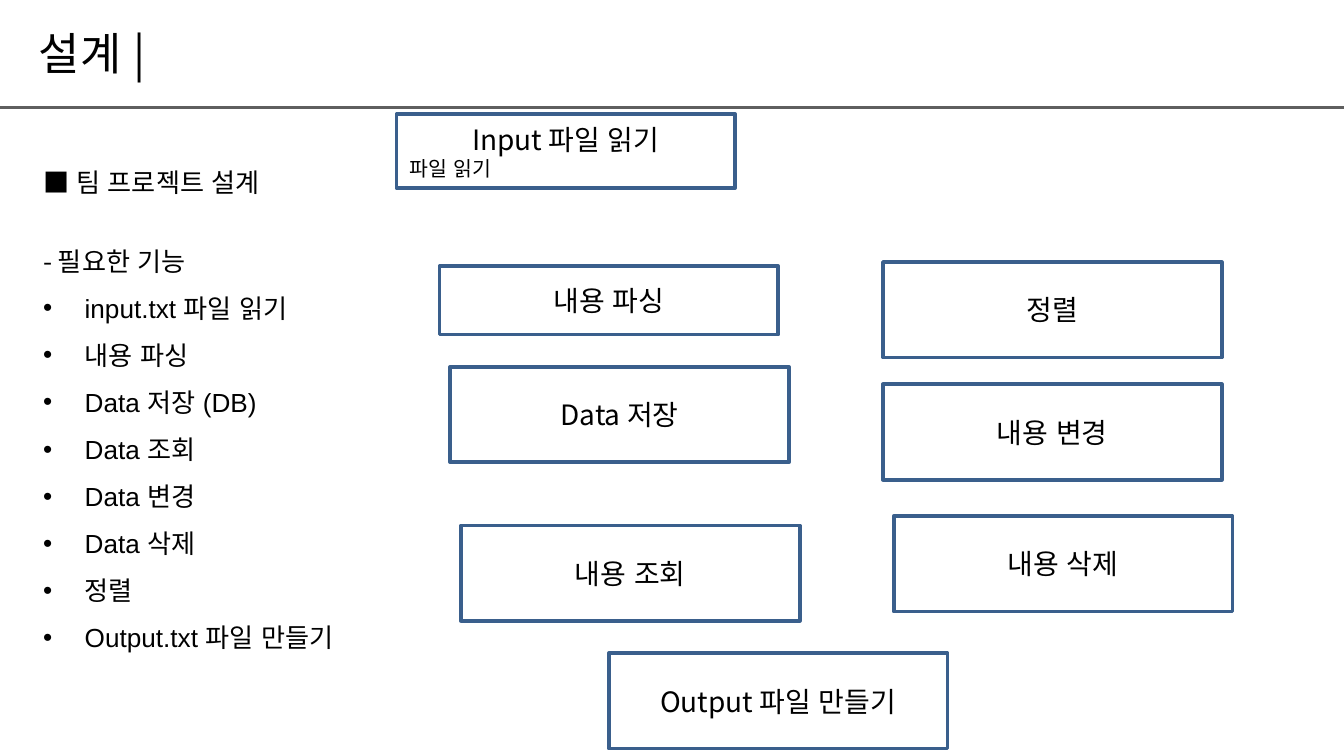
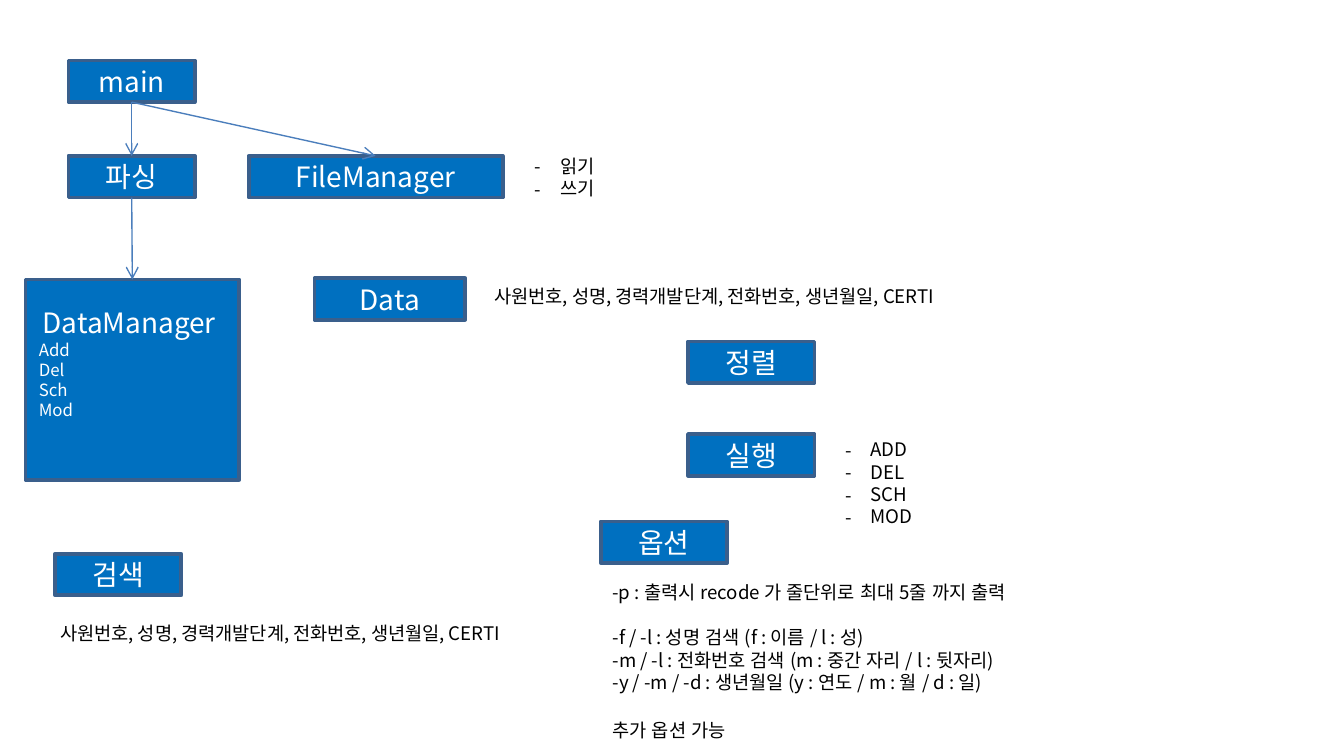
import pptx
import pptx.util
import pptx.dml.color
import pptx.enum.dml
import pptx.enum.lang
import pptx.enum.shapes
import pptx.enum.text
import pptx.oxml
import pptx.oxml.ns
from dataclasses import dataclass

Inches = pptx.util.Inches
Pt = pptx.util.Pt
Align = pptx.enum.text.PP_ALIGN
Anchor = pptx.enum.text.MSO_ANCHOR
AutoSize = pptx.enum.text.MSO_AUTO_SIZE


@dataclass(frozen=True)
class Theme:
    korean: str = "Noto Sans CJK KR"
    latin: str = "Arial"
    ink: str = "000000"
    white: str = "FFFFFF"
    rule: str = "5F5F5F"
    node: str = "0070C0"
    border: str = "3A5F8C"
    arrow: str = "4B7EBC"
    title: int = 24
    label: int = 15
    body: int = 14
    small: int = 11
    note: int = 10
    method: int = 9


theme = Theme()


def color(value):
    return pptx.dml.color.RGBColor.from_string(value)


def write(frame, text, size, ink=theme.ink, font=theme.korean, align=Align.LEFT,
          spacing=None, bullet=None, indent=0):
    for line in text.split("\n"):
        para = frame.paragraphs[0]
        if para.runs:
            para = frame.add_paragraph()
        para.alignment = align
        para.space_before = Pt(0)
        if spacing:
            para.line_spacing = spacing
        properties = para._p.get_or_add_pPr()
        properties.set("marL", str(Inches(indent)))
        properties.set("indent", str(-Inches(indent)))
        marks = [("a:buNone", {})]
        if bullet:
            marks = [("a:buFont", {"typeface": font}), ("a:buChar", {"char": bullet})]
        for tag, attributes in marks:
            properties.append(properties.makeelement(pptx.oxml.ns.qn(tag), attributes))
        for index, part in enumerate(line.split("\v")):
            if index:
                para.add_line_break()
            span = para.add_run()
            span.text = part
            span.font.size = Pt(size)
            span.font.name = font
            span.font.language_id = pptx.enum.lang.MSO_LANGUAGE_ID.KOREAN
            span.font.color.rgb = color(ink)
            east_asian = span._r.get_or_add_rPr().makeelement(
                pptx.oxml.ns.qn("a:ea"), {"typeface": theme.korean})
            span._r.get_or_add_rPr().append(east_asian)


deck = pptx.Presentation()
deck.slide_width = Inches(10)
deck.slide_height = Inches(10 * 9 / 16)

design_page = deck.slides.add_slide(deck.slide_layouts[1])
structure_page = deck.slides.add_slide(deck.slide_layouts[6])

title, body = design_page.placeholders
placements = [(title, 0.2, 0.15, 7.01, 0.49), (body, 0.22, 0.84, 2.57, 4.81)]
for holder, left, top, width, height in placements:
    holder.left, holder.top = Inches(left), Inches(top)
    holder.width, holder.height = Inches(width), Inches(height)
    holder.text_frame.auto_size = AutoSize.NONE
    holder.text_frame.vertical_anchor = Anchor.TOP

title.text_frame.margin_left = title.text_frame.margin_right = Inches(0.09)
title.text_frame.margin_top = title.text_frame.margin_bottom = Inches(0.04)
write(title.text_frame, "설계 | ", theme.title)

write(body.text_frame, "■ 팀 프로젝트 설계\n- 필요한 기능", theme.body, spacing=2.5)
features = [
    "input.txt 파일 읽기", "내용 파싱", "Data 저장 (DB)", "Data 조회",
    "Data 변경", "Data 삭제", "정렬", "Output.txt 파일 만들기",
]
write(body.text_frame, "\n".join(features), theme.body, font=theme.latin,
      spacing=1.5, bullet="•", indent=0.31)

step_width, step_height = 2.52, 0.71
steps = [
    ("Input 파일 읽기", 2.95, 0.85, step_width, 0.55),
    ("내용 파싱", 3.27, 1.98, step_width, 0.51),
    ("Data 저장", 3.35, 2.73, step_width, step_height),
    ("내용 삭제", 6.65, 3.84, step_width, step_height),
    ("내용 변경", 6.57, 2.86, step_width, step_height),
    ("내용 조회", 3.43, 3.91, step_width, step_height),
    ("정렬", 6.57, 1.95, step_width, step_height),
    ("Output 파일 만들기", 4.53, 4.86, step_width, step_height),
]
node_width, node_height = 0.94, 0.31
nodes = [
    ("main", 0.51, 0.45, node_width, node_height),
    ("파싱", 0.51, 1.16, node_width, node_height),
    ("FileManager", 1.85, 1.16, 1.89, node_height),
    ("검색", 0.41, 4.12, node_width, node_height),
    ("DataManager ", 0.19, 2.08, 1.59, 1.49),
    ("실행", 5.12, 3.23, node_width, node_height),
    ("옵션", 4.47, 3.88, node_width, node_height),
    ("Data", 2.34, 2.07, 1.12, node_height),
    ("정렬", 5.12, 2.54, node_width, node_height),
]
step_boxes, node_boxes = {}, {}
groups = [
    (design_page, steps, None, theme.ink, step_boxes),
    (structure_page, nodes, theme.node, theme.white, node_boxes),
]
for page, entries, fill, ink, boxes in groups:
    for label, left, top, width, height in entries:
        box = page.shapes.add_shape(
            pptx.enum.shapes.MSO_SHAPE.RECTANGLE,
            Inches(left), Inches(top), Inches(width), Inches(height))
        box.shadow.inherit = False
        if fill:
            box.fill.solid()
            box.fill.fore_color.rgb = color(fill)
        else:
            box.fill.background()
        box.line.color.rgb = color(theme.border)
        box.line.width = Pt(2)
        box.text_frame.word_wrap = True
        box.text_frame.vertical_anchor = Anchor.MIDDLE
        write(box.text_frame, label, theme.label, ink=ink, align=Align.CENTER)
        boxes[label.strip()] = box

write(step_boxes["Input 파일 읽기"].text_frame, "파일 읽기", theme.small)
manager = node_boxes["DataManager"].text_frame
manager.margin_bottom = Inches(0.3)
write(manager, "Add\nDel\nSch\vMod", theme.method, ink=theme.white)

fields = "사원번호, 성명, 경력개발단계, 전화번호, 생년월일, CERTI"
searches = (
    "-f / -l : 성명 검색 (f : 이름 / l : 성)\v"
    "-m / -l : 전화번호 검색 (m : 중간 자리 / l : 뒷자리)\n"
    "-y / -m / -d : 생년월일 (y : 연도 / m : 월 / d : 일)"
)
dashed = {"bullet": "-", "indent": 0.19}
notes = [
    (fields, 0.35, 4.58, 3.77, 0.27, {}),
    ("-p : 출력시 recode 가 줄단위로 최대 5줄 까지 출력", 4.46, 4.27, 3.43, 0.27, {}),
    (searches, 4.46, 4.61, 3.39, 0.61, {}),
    ("추가 옵션 가능", 4.46, 5.3, 1.14, 0.27, {}),
    ("ADD\nDEL\nSCH\nMOD", 6.19, 3.21, 0.73, 0.77, dashed),
    (fields, 3.58, 2.07, 3.77, 0.27, {}),
    ("읽기\n쓰기", 3.88, 1.1, 0.67, 0.44, dashed),
]
for text, left, top, width, height, style in notes:
    note = structure_page.shapes.add_textbox(
        Inches(left), Inches(top), Inches(width), Inches(height))
    note.text_frame.word_wrap = False
    note.text_frame.auto_size = AutoSize.SHAPE_TO_FIT_TEXT
    write(note.text_frame, text, theme.note, **style)

straight = pptx.enum.shapes.MSO_CONNECTOR.STRAIGHT
rule = design_page.shapes.add_connector(
    straight, Inches(0), Inches(0.8), Inches(10), Inches(0.8))
lines = [(rule, theme.rule, 2, False)]
bottom_site, top_site = 2, 0
for source, target in [("main", "파싱"), ("main", "FileManager"), ("파싱", "DataManager")]:
    arrow = structure_page.shapes.add_connector(straight, 0, 0, 0, 0)
    arrow.begin_connect(node_boxes[source], bottom_site)
    arrow.end_connect(node_boxes[target], top_site)
    lines.append((arrow, theme.arrow, 0.75, True))

for line, ink, weight, has_head in lines:
    line.line.color.rgb = color(ink)
    line.line.width = Pt(weight)
    properties = line._element.spPr
    if has_head:
        stroke = line.line._get_or_add_ln()
        stroke.append(stroke.makeelement(pptx.oxml.ns.qn("a:tailEnd"), {"type": "arrow"}))
    properties.append(properties.makeelement(pptx.oxml.ns.qn("a:effectLst"), {}))

deck.save("out.pptx")
